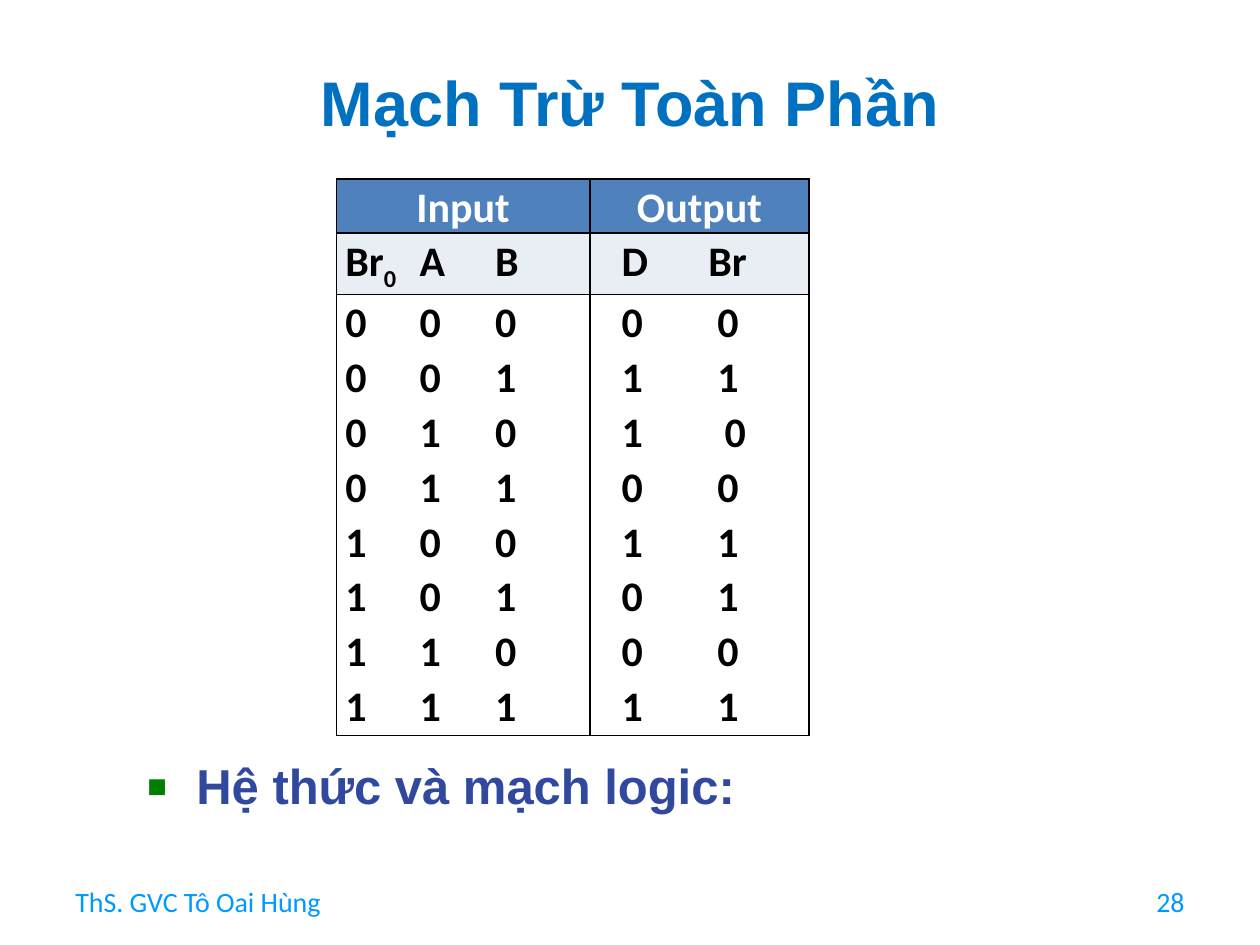
from lxml import etree
from pptx import Presentation
from pptx.dml.color import RGBColor
from pptx.enum.text import MSO_ANCHOR, PP_ALIGN
from pptx.oxml.ns import qn
from pptx.util import Cm, Pt

LEFT, CENTER, RIGHT, JUSTIFY = PP_ALIGN.LEFT, PP_ALIGN.CENTER, PP_ALIGN.RIGHT, PP_ALIGN.JUSTIFY
TOP, MIDDLE = MSO_ANCHOR.TOP, MSO_ANCHOR.MIDDLE


def color(value):
    return RGBColor.from_string(value)


def write(paragraph, text, size=24, font="Calibri", hex_color="000000", bold=True,
          align=JUSTIFY, spacing=None, baseline=None):
    paragraph.alignment = align
    if spacing:
        paragraph.line_spacing = spacing
    run = paragraph.add_run()
    run.text = text
    run.font.size = Pt(size)
    run.font.name = font
    run.font.bold = bold
    run.font.color.rgb = color(hex_color)
    if baseline:
        run._r.get_or_add_rPr().set("baseline", str(baseline))


presentation = Presentation()
presentation.slide_width = Cm(25.4)
presentation.slide_height = Cm(19.05)
slide = presentation.slides.add_slide(presentation.slide_layouts[6])

title_format = dict(size=36, font="Arial", hex_color="0070C0", align=CENTER)
footer_format = dict(size=16, hex_color="0099FF", bold=False)
bullet_format = dict(size=28, font="Arial", hex_color="31489F", spacing=0.9)
text_boxes = [
    ("Mạch Trừ Toàn Phần", 1.27, 1.02, 22.86, 2.03, MIDDLE, title_format),
    ("ThS. GVC Tô Oai Hùng", 1.27, 17.65, 5.92, 1.02, MIDDLE, dict(footer_format, align=LEFT)),
    ("28", 18.21, 17.65, 5.92, 1.02, MIDDLE, dict(footer_format, align=RIGHT)),
    ("Hệ thức và mạch logic:", 1.47, 15.24, 19.05, 1.35, TOP, bullet_format),
]
for text, left, top, width, height, anchor, text_format in text_boxes:
    shape = slide.shapes.add_textbox(Cm(left), Cm(top), Cm(width), Cm(height))
    shape.text_frame.word_wrap = True
    shape.text_frame.vertical_anchor = anchor
    paragraph = shape.text_frame.paragraphs[0]
    write(paragraph, text, **text_format)

paragraph.level = 2
properties = paragraph._p.get_or_add_pPr()
properties.set("marL", str(Cm(2.24)))
properties.set("indent", str(Cm(-1.02)))
bullet_color = etree.SubElement(properties, qn("a:buClr"))
etree.SubElement(bullet_color, qn("a:srgbClr"), val="008000")
etree.SubElement(properties, qn("a:buSzPct"), val="130000")
etree.SubElement(properties, qn("a:buFont"), typeface="Arial")
etree.SubElement(properties, qn("a:buChar"), char="▪")

truth_rows = [f"{number:03b}" for number in range(8)]
input_lines = ["\t".join(bits) for bits in truth_rows]
output_lines = ["\t0\t0", "\t1\t1", "\t1\t\t0", "\t0\t0", "\t1\t1", "\t0\t1", "\t0\t0", "\t1\t1"]
input_tabs = [1.5, 3.02]
table_rows = [
    (1.07, "4F81BD", "FFFFFF", CENTER, [(["Input"], []), (["Output"], [])]),
    (1.07, "E9EDF4", "000000", JUSTIFY, [([""], input_tabs), (["\tD\tBr"], [0.46, 2.21])]),
    (8.89, "FFFFFF", "000000", JUSTIFY, [(input_lines, input_tabs), (output_lines, [0.46, 2.39])]),
]
table = slide.shapes.add_table(3, 2, Cm(6.78), Cm(3.61), Cm(9.53), Cm(11.03)).table
for column, width in zip(table.columns, [5.11, 4.42]):
    column.width = Cm(width)

for row_index, (height, fill, text_color, align, contents) in enumerate(table_rows):
    table.rows[row_index].height = Cm(height)
    for column_index, (lines, tabs) in enumerate(contents):
        cell = table.cell(row_index, column_index)
        cell.fill.solid()
        cell.fill.fore_color.rgb = color(fill)
        cell.margin_left = cell.margin_right = Cm(0.18)
        cell.margin_top = cell.margin_bottom = Cm(0)
        for position, side in enumerate(["a:lnL", "a:lnR", "a:lnT", "a:lnB"]):
            border = etree.Element(qn(side), w=str(Pt(1)))
            border_fill = etree.SubElement(border, qn("a:solidFill"))
            etree.SubElement(border_fill, qn("a:srgbClr"), val="000000")
            cell._tc.get_or_add_tcPr().insert(position, border)

        for line_index, line in enumerate(lines):
            frame = cell.text_frame
            paragraph = frame.add_paragraph() if line_index else frame.paragraphs[0]
            parts = [(line, None)] if line else [("Br", None), ("0", -25000), ("\tA \tB", None)]
            for text, baseline in parts:
                write(paragraph, text, hex_color=text_color, align=align, spacing=1.07,
                      baseline=baseline)
            if tabs:
                tab_list = etree.SubElement(paragraph._p.get_or_add_pPr(), qn("a:tabLst"))
                for tab in tabs:
                    etree.SubElement(tab_list, qn("a:tab"), pos=str(Cm(tab)), algn="l")

presentation.save("out.pptx")
